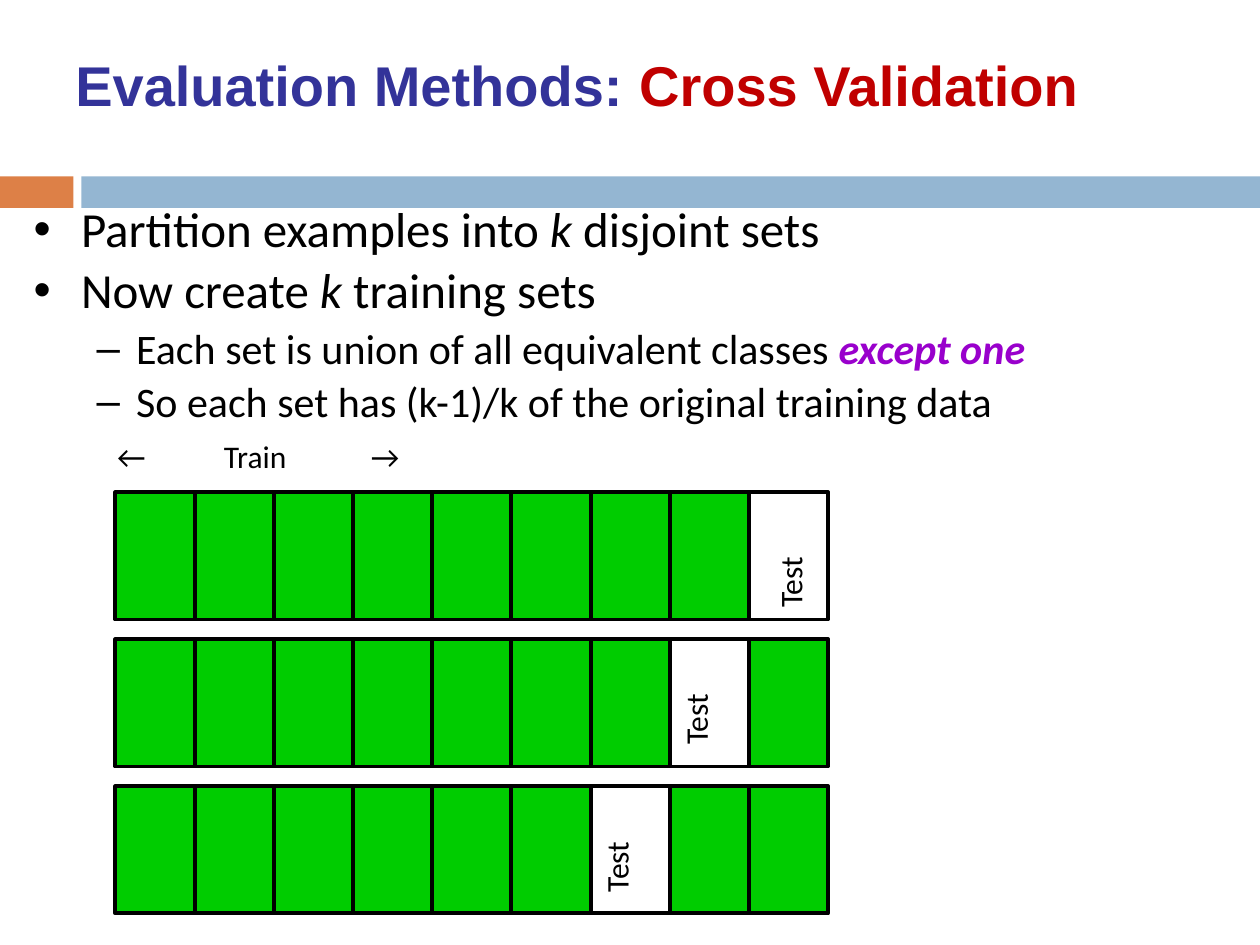
import pptx
import pptx.dml.color
import pptx.enum.shapes
import pptx.enum.text
import pptx.util
from lxml import etree
from pptx.oxml.ns import qn

Pt = pptx.util.Pt
RGB = pptx.dml.color.RGBColor
BLACK = RGB(0x00, 0x00, 0x00)
GREEN = RGB(0x00, 0xCC, 0x00)
ORANGE = RGB(0xDD, 0x80, 0x47)
BLUE = RGB(0x94, 0xB6, 0xD2)
NAVY = RGB(0x33, 0x33, 0x99)
RED = RGB(0xC0, 0x00, 0x00)
PURPLE = RGB(0x99, 0x00, 0xCC)

FOLDS = 9
CELL_W, CELL_H = 45.25, 72.7
GRID_LEFT, GRID_TOP, ROW_PITCH = 66, 281.3, 84


def add_run(p, text, size=18, font="Calibri", color=BLACK, bold=False, italic=False):
    r = p.add_run()
    r.text = text
    r.font.size = Pt(size)
    r.font.name = font
    r.font.color.rgb = color
    r.font.bold = bold
    r.font.italic = italic


def add_box(shapes, left, top, width, height, wrap=True):
    """Add an empty text box and return it."""
    s = shapes.add_textbox(Pt(left), Pt(top), Pt(width), Pt(height))
    s.text_frame.word_wrap = wrap
    return s


def add_rect(shapes, left, top, width, height, fill=None, line=None):
    s = shapes.add_shape(pptx.enum.shapes.MSO_SHAPE.RECTANGLE,
                         Pt(left), Pt(top), Pt(width), Pt(height))
    s.shadow.inherit = False
    if fill is None:
        s.fill.background()
    else:
        s.fill.solid()
        s.fill.fore_color.rgb = fill
    if line is None:
        s.line.fill.background()
    else:
        s.line.color.rgb = line
        s.line.width = Pt(2.25)


def set_bullet(p, char, level, margin, hanging):
    p.level = level
    p.line_spacing = 0.9
    p.space_before = Pt(4.7)
    pPr = p._p.get_or_add_pPr()
    pPr.set("marL", str(Pt(margin)))
    pPr.set("indent", str(-Pt(hanging)))
    etree.SubElement(pPr, qn("a:buFont"), typeface="Arial")
    etree.SubElement(pPr, qn("a:buChar"), char=char)


def set_tabs(p, *stops):
    tabs = etree.SubElement(p._p.get_or_add_pPr(), qn("a:tabLst"))
    for stop in stops:
        etree.SubElement(tabs, qn("a:tab"), pos=str(Pt(stop)), algn="l")


def add_bullets(shapes):
    k = {"italic": True}
    items = [
        (0, [("Partition examples into ", {}), ("k", k), (" disjoint sets", {})]),
        (0, [("Now create ", {}), ("k ", k), ("training sets", {})]),
        (1, [("Each set is union of all equivalent classes ", {}),
             ("except one", {"color": PURPLE, "bold": True, "italic": True})]),
        (1, [("So each set has (k-1)/k of the original training data", {})]),
    ]
    styles = [("•", 27, 27, 28), ("–", 58.5, 22.5, 24)]
    tf = add_box(shapes, 12.2, 113.8, 732, 323).text_frame
    for i, (level, runs) in enumerate(items):
        char, margin, hanging, size = styles[level]
        p = tf.paragraphs[0] if i == 0 else tf.add_paragraph()
        set_bullet(p, char, level, margin, hanging)
        for text, style in runs:
            add_run(p, text, size=size, **style)


def add_fold_row(shapes, row, test, label_left, label_top):
    """Draw one grouped row of folds, with the test fold left unfilled."""
    g = shapes.add_group_shape().shapes
    for i in range(FOLDS):
        add_rect(g, GRID_LEFT + i * CELL_W, GRID_TOP + row * ROW_PITCH,
                 CELL_W, CELL_H, fill=None if i == test else GREEN, line=BLACK)
    label = add_box(g, label_left, label_top, 67.7, 36, wrap=False)
    label.rotation = 270
    add_run(label.text_frame.paragraphs[0], "Test")


def main():
    prs = pptx.Presentation()
    prs.slide_width, prs.slide_height = Pt(720), Pt(540)
    shapes = prs.slides.add_slide(prs.slide_layouts[6]).shapes

    # Divider band
    add_rect(shapes, 0, 100.8, 42, 18, fill=ORANGE)
    add_rect(shapes, 46.5, 100.8, 673.5, 18, fill=BLUE)

    add_bullets(shapes)

    # Train label: tab stops place the word and the right arrow
    p = add_box(shapes, 59.8, 246.2, 361, 36).text_frame.paragraphs[0]
    set_tabs(p, 61, 145)
    add_run(p, "←\tTrain\t→")

    # Folds: the test set moves one place left in each row
    labels = [(421.2, 302.4), (367.2, 380.9), (321.8, 465.1)]
    for row, (left, top) in enumerate(labels):
        add_fold_row(shapes, row, FOLDS - 1 - row, left, top)

    # Title
    tf = add_box(shapes, 36, 20, 648, 56).text_frame
    tf.vertical_anchor = pptx.enum.text.MSO_ANCHOR.MIDDLE
    title = {"size": 32, "font": "Arial", "bold": True}
    add_run(tf.paragraphs[0], "Evaluation Methods: ", color=NAVY, **title)
    add_run(tf.paragraphs[0], "Cross Validation", color=RED, **title)

    prs.save("out.pptx")


if __name__ == "__main__":
    main()
